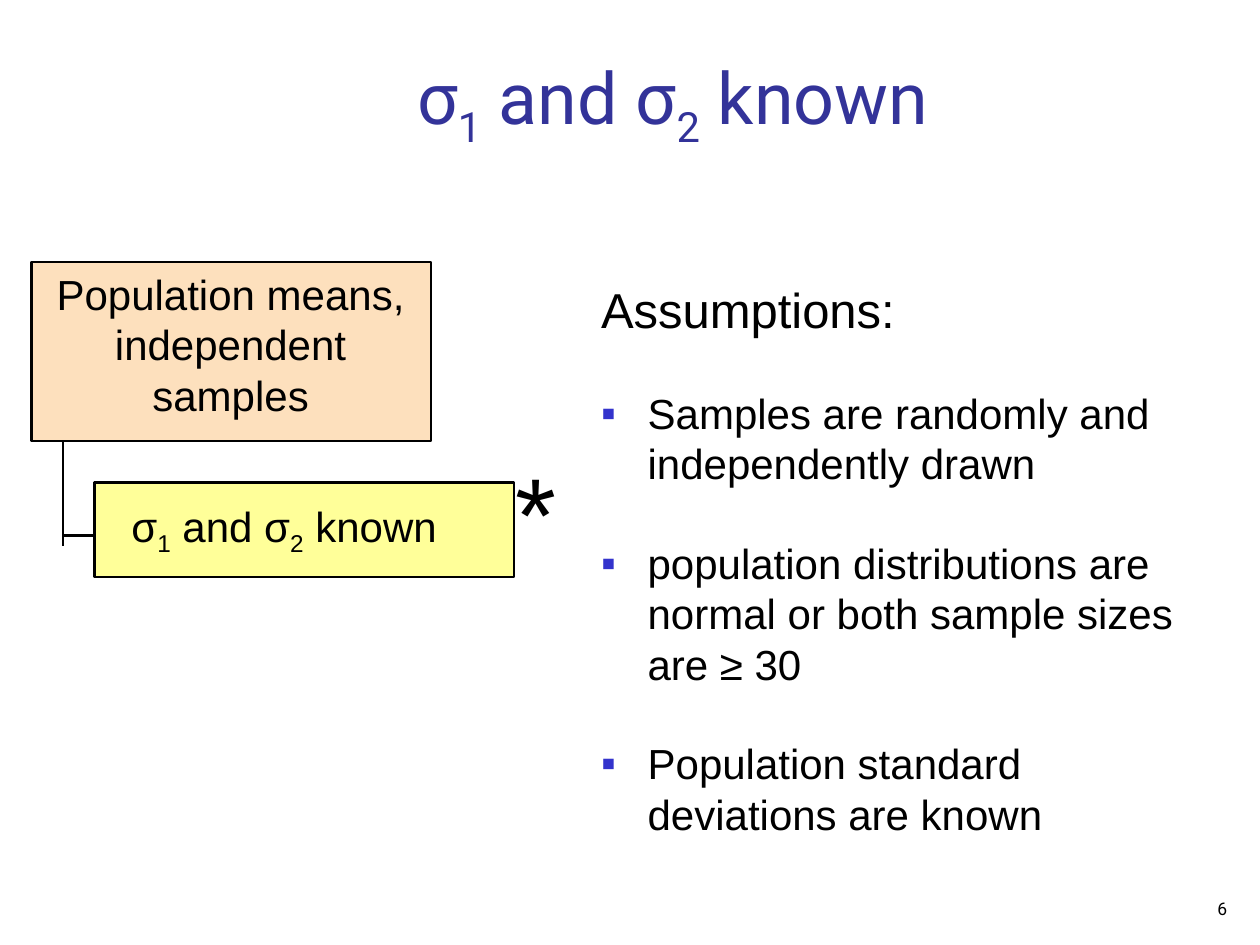
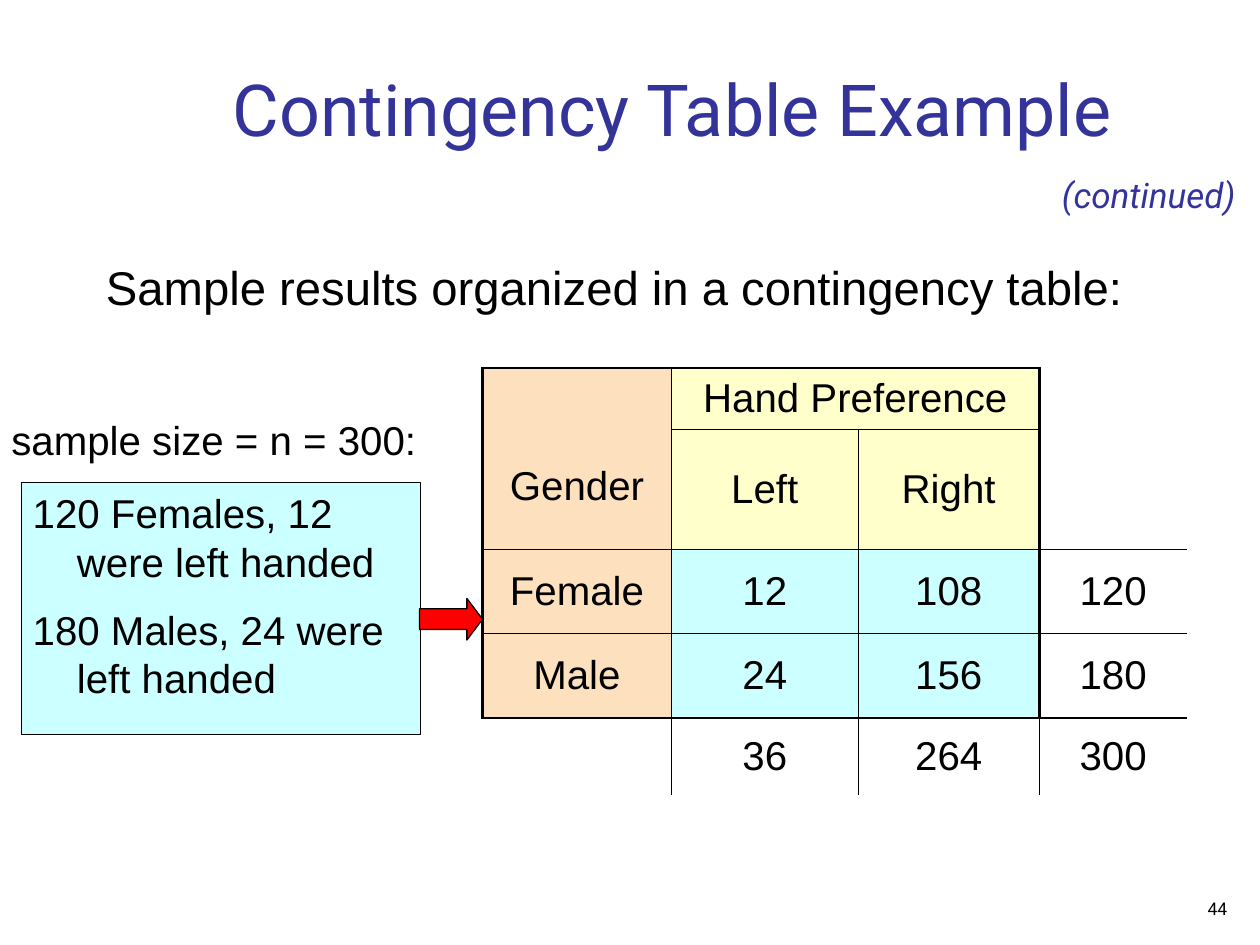
from dataclasses import dataclass
from typing import NamedTuple

from lxml import etree
from pptx import Presentation
from pptx.dml.color import RGBColor
from pptx.enum import shapes, text
from pptx.oxml import ns
from pptx.util import Inches, Pt

# Shared colours and fonts
BLACK = RGBColor(0, 0, 0)
INDIGO = RGBColor(0x33, 0x33, 0x99)
BULLET_BLUE = RGBColor(0x33, 0x33, 0xCC)
PEACH = RGBColor(0xFD, 0xE0, 0xBD)
YELLOW = RGBColor(0xFF, 0xFF, 0x99)
CREAM = RGBColor(0xFF, 0xFF, 0xCC)
AQUA = RGBColor(0xCC, 0xFF, 0xFF)
RED = RGBColor(0xFF, 0, 0)
BODY_FONT, TITLE_FONT = "Arial", "Roboto"

LEFT, CENTER, RIGHT = text.PP_ALIGN.LEFT, text.PP_ALIGN.CENTER, text.PP_ALIGN.RIGHT
TOP, MIDDLE, BOTTOM = text.MSO_ANCHOR.TOP, text.MSO_ANCHOR.MIDDLE, text.MSO_ANCHOR.BOTTOM


class Area(NamedTuple):
    left: float
    top: float
    width: float
    height: float

    def lengths(self) -> list:
        return [Inches(value) for value in self]


@dataclass(frozen=True)
class Style:
    size: float
    font: str = BODY_FONT
    color: RGBColor = BLACK
    italic: bool = False
    align: int = LEFT
    anchor: int = TOP
    hanging: float = 0
    gap: float = 0
    bullet: str = ""
    margin: float = 0.1


TITLE = Style(41, TITLE_FONT, INDIGO, align=CENTER, anchor=BOTTOM, margin=0.09)
NUMBER = Style(10, TITLE_FONT, align=RIGHT, anchor=BOTTOM, margin=0.09)
LABEL = Style(24, align=CENTER)
ASSUMPTION = Style(24, hanging=0.37, gap=28, bullet="▪")
SAMPLE = Style(23, hanging=0.35, gap=11.5, margin=0.09)
CELL = Style(23, align=CENTER, anchor=MIDDLE)

# Every second part is a subscript
SIGMAS_KNOWN = ("σ", "1", " and σ", "2", " known")


# Text
def set_bullet(paragraph, style: Style) -> None:
    properties = paragraph._p.get_or_add_pPr()
    properties.set("marL", str(Inches(style.hanging)))
    properties.set("indent", str(-Inches(style.hanging)))
    if not style.bullet:
        etree.SubElement(properties, ns.qn("a:buNone"))
        return
    color = etree.SubElement(properties, ns.qn("a:buClr"))
    etree.SubElement(color, ns.qn("a:srgbClr"), val=str(BULLET_BLUE))
    etree.SubElement(properties, ns.qn("a:buFont"), typeface=BODY_FONT)
    etree.SubElement(properties, ns.qn("a:buChar"), char=style.bullet)


def write_paragraph(paragraph, parts: tuple, style: Style, first: bool) -> None:
    set_bullet(paragraph, style)
    paragraph.alignment = style.align
    paragraph.space_before = Pt(0 if first else style.gap)
    looks = {"size": Pt(style.size), "name": style.font, "italic": style.italic}
    for index, part in enumerate(parts):
        run = paragraph.add_run()
        run.text = part
        for name, value in looks.items():
            setattr(run.font, name, value)
        run.font.color.rgb = style.color
        if index % 2:
            run._r.get_or_add_rPr().set("baseline", "-25000")


def write(frame, style: Style, *lines: tuple) -> None:
    """Each line is a tuple of parts, optionally preceded by its own style."""
    layout = {
        "word_wrap": True, "auto_size": text.MSO_AUTO_SIZE.NONE,
        "vertical_anchor": style.anchor,
        "margin_left": Inches(style.margin), "margin_right": Inches(style.margin),
        "margin_top": Inches(0.05), "margin_bottom": Inches(0.05),
    }
    for name, value in layout.items():
        setattr(frame, name, value)
    for index, line in enumerate(lines):
        own_style, parts = (line[0], line[1:]) if isinstance(line[0], Style) else (style, line)
        paragraph = frame.add_paragraph() if index else frame.paragraphs[0]
        write_paragraph(paragraph, parts, own_style, index == 0)


def add_label(slide, area: Area, style: Style, *lines: tuple) -> None:
    write(slide.shapes.add_textbox(*area.lengths()).text_frame, style, *lines)


def fill_placeholder(placeholder, area: Area, style: Style, *lines: tuple) -> None:
    for name, value in zip(Area._fields, area.lengths()):
        setattr(placeholder, name, value)
    write(placeholder.text_frame, style, *lines)


# Shapes
def add_block(slide, kind: int, area: Area, fill: RGBColor, weight: float):
    block = slide.shapes.add_shape(kind, *area.lengths())
    block.shadow.inherit = False
    block.fill.solid()
    block.fill.fore_color.rgb = fill
    block.line.color.rgb = BLACK
    block.line.width = Pt(weight)
    return block


def add_line(slide, *ends: float) -> None:
    line = slide.shapes.add_connector(shapes.MSO_CONNECTOR.STRAIGHT, *map(Inches, ends))
    line.line.color.rgb = BLACK
    line.line.width = Pt(1.5)
    etree.SubElement(line._element.spPr, ns.qn("a:effectLst"))


def start_slide(deck, title: tuple, number: str):
    slide = deck.slides.add_slide(deck.slide_layouts[1])
    fill_placeholder(slide.shapes.title, Area(1.08, 0.42, 8.52, 0.83), TITLE, title)
    add_label(slide, Area(7.75, 7, 2.08, 0.34), NUMBER, (number,))
    return slide


# Contingency table: border weights per grid line, zero meaning no line
THICK, MEDIUM, THIN = 1.47, 1.08, 0.45
COLUMNS = (1.5, 1.48, 1.44, 1.17)
ROWS = (0.49, 0.95, 0.67, 0.67, 0.61)
INNER_VERTICALS = (THICK, MEDIUM, THIN, THICK, 0)
VERTICALS = (
    (THICK, MEDIUM, 0, THICK, 0),
    *[INNER_VERTICALS] * 3,
    (0, MEDIUM, THIN, MEDIUM, 0),
)
COUNT_HORIZONTALS = (THICK, THIN, MEDIUM, THIN, THICK, 0)
HORIZONTALS = (
    (THICK, 0, MEDIUM, THIN, THICK, 0),
    COUNT_HORIZONTALS,
    COUNT_HORIZONTALS,
    (0, 0, MEDIUM, THIN, MEDIUM, 0),
)
CONTENT = (
    ("Gender", "Hand Preference", "", ""),
    ("", "Left", "Right", ""),
    ("Female", "12", "108", "120"),
    ("Male", "24", "156", "180"),
    ("", "36", "264", "300"),
)


def cell_fill(row: int, column: int):
    if row == 4 or column == 3:
        return None
    if column == 0:
        return PEACH
    return CREAM if row < 2 else AQUA


def set_borders(cell, row: int, column: int) -> None:
    weights = {
        "L": VERTICALS[row][column], "R": VERTICALS[row][column + 1],
        "T": HORIZONTALS[column][row], "B": HORIZONTALS[column][row + 1],
    }
    properties = cell._tc.get_or_add_tcPr()
    for side, weight in weights.items():
        border = etree.SubElement(properties, ns.qn(f"a:ln{side}"), w=str(Pt(weight)))
        if weight:
            paint = etree.SubElement(border, ns.qn("a:solidFill"))
            etree.SubElement(paint, ns.qn("a:srgbClr"), val=str(BLACK))
        else:
            etree.SubElement(border, ns.qn("a:noFill"))


def add_contingency_table(slide) -> None:
    area = Area(3.83, 2.92, sum(COLUMNS), sum(ROWS))
    table = slide.shapes.add_table(len(ROWS), len(COLUMNS), *area.lengths()).table
    table.first_row = table.horz_banding = False
    for column, width in zip(table.columns, COLUMNS):
        column.width = Inches(width)
    for row, height in zip(table.rows, ROWS):
        row.height = Inches(height)
    for row, words in enumerate(CONTENT):
        for column, word in enumerate(words):
            cell = table.cell(row, column)
            set_borders(cell, row, column)
            color = cell_fill(row, column)
            if color is None:
                cell.fill.background()
            else:
                cell.fill.solid()
                cell.fill.fore_color.rgb = color
            cell.vertical_anchor = MIDDLE
            if word:
                write_paragraph(cell.text_frame.paragraphs[0], (word,), CELL, True)
    for first, last in (((0, 0), (1, 0)), ((0, 1), (0, 2)), ((0, 3), (1, 3))):
        table.cell(*first).merge(table.cell(*last))
    table.cell(0, 0).margin_top = Inches(ROWS[0])


# Slides
def build_sigmas_slide(deck) -> None:
    slide = start_slide(deck, SIGMAS_KNOWN, "6")
    rectangle = shapes.MSO_SHAPE.RECTANGLE
    add_block(slide, rectangle, Area(0.25, 2.08, 3.17, 1.42), PEACH, 1.5)
    add_label(slide, Area(0.33, 2.08, 3, 1.3), LABEL,
              ("Population means, independent samples",))
    add_block(slide, rectangle, Area(0.75, 3.83, 3.33, 0.75), YELLOW, 1.5)
    add_label(slide, Area(0.92, 3.92, 2.67, 0.56), LABEL, SIGMAS_KNOWN)
    add_line(slide, 0.5, 3.5, 0.5, 4.33)
    add_line(slide, 0.5, 4.25, 0.75, 4.25)
    add_label(slide, Area(3.92, 3.5, 0.67, 1.1), Style(60, align=CENTER), ("*",))
    fill_placeholder(
        slide.placeholders[1], Area(4.67, 2.17, 4.83, 4.57), ASSUMPTION,
        (Style(28), "Assumptions:"),
        ("Samples are randomly and independently drawn",),
        ("population distributions are normal or both sample sizes are ≥ 30",),
        ("Population standard deviations are known",),
    )


def build_contingency_slide(deck) -> None:
    slide = start_slide(deck, ("Contingency Table Example",), "44")
    fill_placeholder(slide.placeholders[1], Area(0.75, 2, 8.67, 0.67),
                     Style(27, hanging=0.35, margin=0.09),
                     ("Sample results organized in a contingency table:",))
    add_label(slide, Area(8.33, 1.33, 1.67, 0.44),
              Style(20, TITLE_FONT, INDIGO, italic=True), ("(continued)",))
    add_contingency_table(slide)
    counts = add_block(slide, shapes.MSO_SHAPE.RECTANGLE, Area(0.17, 3.83, 3.17, 2), AQUA, 0.75)
    write(counts.text_frame, SAMPLE,
          ("120 Females, 12 were left handed",), ("180 Males, 24 were left handed",))
    arrow = add_block(slide, shapes.MSO_SHAPE.RIGHT_ARROW, Area(3.33, 4.75, 0.5, 0.33), RED, 0.75)
    arrow.adjustments[1] = 0.375
    add_label(slide, Area(0, 3.25, 3.58, 0.58), SAMPLE, ("sample size = n = 300:",))


def main() -> None:
    deck = Presentation()
    deck.slide_width, deck.slide_height = Inches(10), Inches(7.5)
    build_sigmas_slide(deck)
    build_contingency_slide(deck)
    deck.save("out.pptx")


if __name__ == "__main__":
    main()
